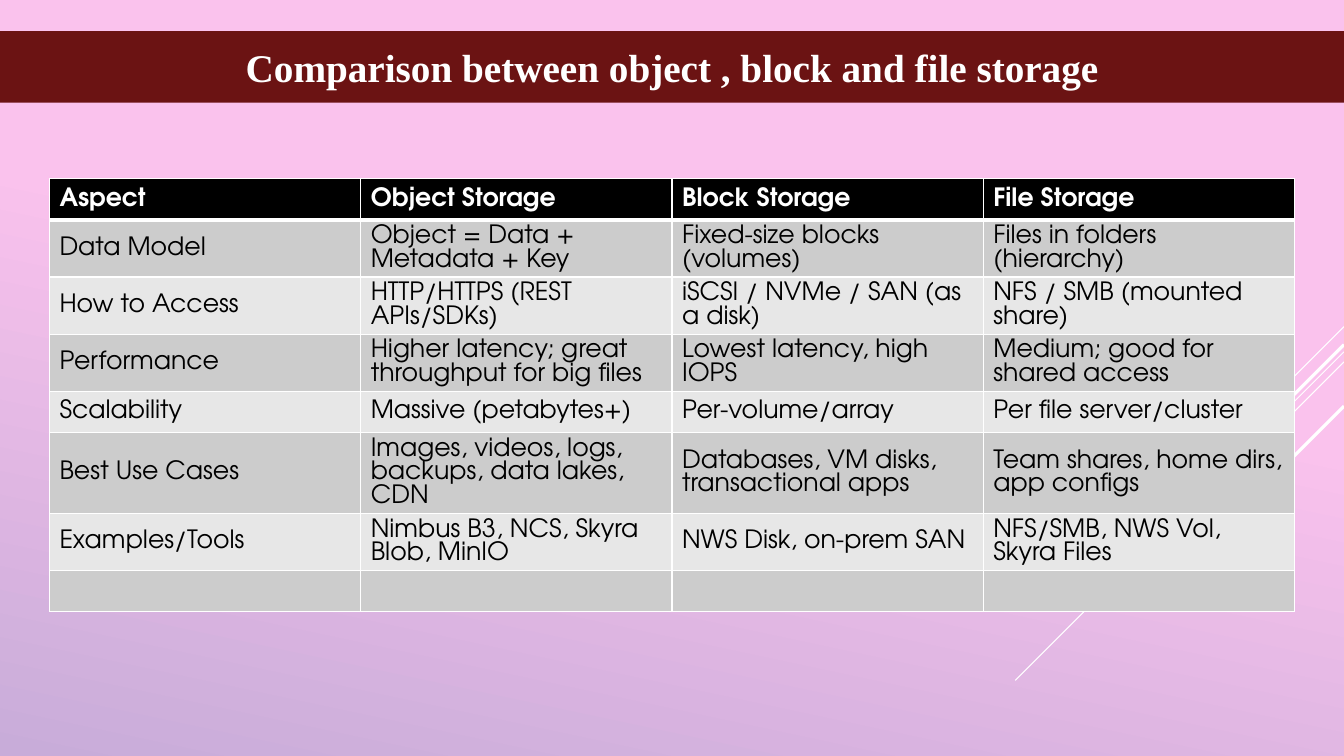
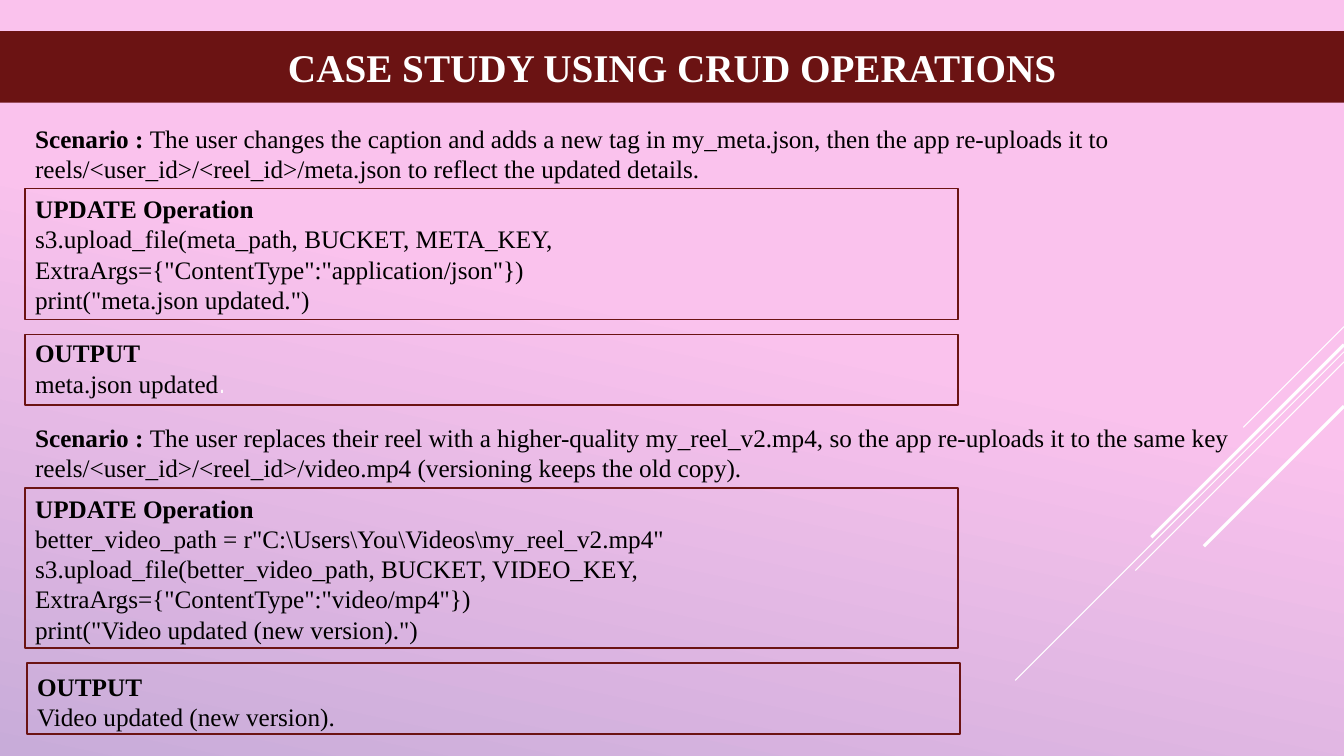
from dataclasses import dataclass

from lxml import etree
from pptx import Presentation
from pptx.dml.color import RGBColor
from pptx.enum.shapes import MSO_CONNECTOR, MSO_SHAPE
from pptx.enum.text import MSO_ANCHOR, MSO_AUTO_SIZE, PP_ALIGN
from pptx.oxml.ns import qn
from pptx.util import Inches, Pt

STRAIGHT = MSO_CONNECTOR.STRAIGHT
RECTANGLE = MSO_SHAPE.RECTANGLE
TOP, MIDDLE = MSO_ANCHOR.TOP, MSO_ANCHOR.MIDDLE
NO_AUTOFIT = MSO_AUTO_SIZE.NONE
LEFT, CENTER = PP_ALIGN.LEFT, PP_ALIGN.CENTER
TITLE_ONLY = 5


@dataclass(frozen=True)
class Theme:
    pink: str = "FAC2ED"
    lilac: str = "C8ACD9"
    maroon: str = "6B1313"
    white: str = "FFFFFF"
    black: str = "000000"
    row_fills: tuple = ("CCCCCC", "E7E7E7")
    serif: str = "Times New Roman"
    sans: str = "TeX Gyre Adventor"
    title_size: int = 28
    body_size: int = 18


THEME = Theme()
SLIDE_W, SLIDE_H = 13.33, 7.5
TITLE_BAND = (0, 0.31, SLIDE_W, 0.71)

# Diagonal strokes: top on the right edge, run to the lower left, weight
STROKES = [
    (3.24, 1, 0.75),
    (3.49, 3.26, 0.75),
    (3.59, 2.07, 0.75),
    (3.42, 1.91, 2.25),
    (4.03, 1.39, 2.25),
]

COMPARISON = [
    ["Aspect", "Object Storage", "Block Storage", "File Storage"],
    ["Data Model", "Object = Data + Metadata + Key",
     "Fixed-size blocks (volumes)", "Files in folders (hierarchy)"],
    ["How to Access", "HTTP/HTTPS (REST APIs/SDKs)",
     "iSCSI / NVMe / SAN (as a disk)", "NFS / SMB (mounted share)"],
    ["Performance", "Higher latency; great throughput for big files",
     "Lowest latency, high IOPS", "Medium; good for shared access"],
    ["Scalability", "Massive (petabytes+)", "Per-volume/array",
     "Per file server/cluster"],
    ["Best Use Cases", "Images, videos, logs, backups, data lakes, CDN",
     "Databases, VM disks, transactional apps",
     "Team shares, home dirs, app configs"],
    ["Examples/Tools", "Nimbus B3, NCS, Skyra Blob, MinIO",
     "NWS Disk, on-prem SAN", "NFS/SMB, NWS Vol, Skyra Files"],
    ["", "", "", ""],
]

META_SCENARIO = (
    "The user changes the caption and adds a new tag in my_meta.json, then the "
    "app re-uploads it to reels/<user_id>/<reel_id>/meta.json to reflect the "
    "updated details."
)
META_CODE = [
    's3.upload_file(meta_path, BUCKET, META_KEY, '
    'ExtraArgs={"ContentType":"application/json"})',
    'print("meta.json updated.")',
]
VIDEO_SCENARIO = (
    "The user replaces their reel with a higher-quality my_reel_v2.mp4, so the "
    "app re-uploads it to the same key reels/<user_id>/<reel_id>/video.mp4 "
    "(versioning keeps the old copy)."
)
VIDEO_CODE = [
    r'better_video_path = r"C:\Users\You\Videos\my_reel_v2.mp4"',
    's3.upload_file(better_video_path, BUCKET, VIDEO_KEY, '
    'ExtraArgs={"ContentType":"video/mp4"})',
    'print("Video updated (new version).")',
]


def rgb(color):
    return RGBColor.from_string(color)


def inches(box):
    return [Inches(v) for v in box]


def style(font, color, name=THEME.serif, size=THEME.body_size, bold=False):
    font.name, font.size, font.bold = name, Pt(size), bold
    font.color.rgb = rgb(color)


def style_master(prs, s):
    """Give the master the gradient and the strokes, drawn by way of slide s."""
    master = prs.slide_master
    fill = master.background.fill
    fill.gradient()
    fill.gradient_angle = 258
    stops = ((0.43, THEME.pink), (1, THEME.lilac))
    for stop, (position, color) in zip(fill.gradient_stops, stops):
        stop.position = position
        stop.color.rgb = rgb(color)
    for i, (y, run, weight) in enumerate(STROKES):
        ends = inches((SLIDE_W, y, SLIDE_W - run, y + run))
        stroke = s.shapes.add_connector(STRAIGHT, *ends)
        stroke.line.color.rgb = rgb(THEME.white)
        stroke.line.width = Pt(weight)
        etree.SubElement(stroke.element.spPr, qn("a:effectLst"))
        stroke.element.nvCxnSpPr.cNvPr.id = 101 + i
        master.shapes.element.append(stroke.element)


def add_titled_slide(prs, title):
    s = prs.slides.add_slide(prs.slide_layouts[TITLE_ONLY])
    band = s.shapes.title
    band.left, band.top, band.width, band.height = inches(TITLE_BAND)
    band.fill.solid()
    band.fill.fore_color.rgb = rgb(THEME.maroon)
    tf = band.text_frame
    tf.text = title
    tf.auto_size = NO_AUTOFIT
    tf.vertical_anchor = MIDDLE
    p = tf.paragraphs[0]
    p.alignment = CENTER
    style(p.font, THEME.white, size=THEME.title_size, bold=True)
    return s


def set_borders(cell, **weights):
    """Draw white cell edges; weights are points by edge letter."""
    tc_pr = cell._tc.get_or_add_tcPr()
    for i, edge in enumerate("LRTB"):
        width = Pt(weights.get(edge, 1))
        ln = etree.Element(qn(f"a:ln{edge}"), w=str(int(width)))
        fill = etree.SubElement(ln, qn("a:solidFill"))
        etree.SubElement(fill, qn("a:srgbClr"), val=THEME.white)
        tc_pr.insert(i, ln)


def add_comparison_table(s, rows, left, top, width, row_height):
    n_rows, n_cols = len(rows), len(rows[0])
    box = inches((left, top, width, row_height * n_rows))
    table = s.shapes.add_table(n_rows, n_cols, *box).table
    for r, row in enumerate(rows):
        header = r == 0
        fill = THEME.black if header else THEME.row_fills[(r - 1) % 2]
        edges = {0: {"B": 3}, 1: {"T": 3}}.get(r, {})
        for c, text in enumerate(row):
            cell = table.cell(r, c)
            cell.text = text
            cell.vertical_anchor = MIDDLE
            cell.fill.solid()
            cell.fill.fore_color.rgb = rgb(fill)
            set_borders(cell, **edges)
            style(cell.text_frame.paragraphs[0].font,
                  THEME.white if header else THEME.black,
                  name=THEME.sans, bold=header)


def add_scenario(s, text, left, top, width, height):
    tf = s.shapes.add_textbox(*inches((left, top, width, height))).text_frame
    tf.word_wrap = True
    p = tf.paragraphs[0]
    style(p.font, THEME.black)
    label = p.add_run()
    label.text = "Scenario : "
    label.font.bold = True
    p.add_run().text = text


def add_panel(s, heading, lines, left, top, width, height, inset=0.05):
    """Outlined box with a bold heading above plain lines."""
    panel = s.shapes.add_shape(RECTANGLE, *inches((left, top, width, height)))
    panel.shadow.inherit = False
    panel.fill.background()
    panel.line.color.rgb = rgb(THEME.maroon)
    panel.line.width = Pt(1.25)
    tf = panel.text_frame
    tf.word_wrap = True
    tf.vertical_anchor = TOP
    tf.margin_top, tf.margin_bottom = Inches(inset), 0
    for i, text in enumerate([heading, *lines]):
        p = tf.paragraphs[0] if i == 0 else tf.add_paragraph()
        p.alignment = LEFT
        p.add_run().text = text
        style(p.font, THEME.black, bold=i == 0)
        style(p.runs[0].font, THEME.black, bold=i == 0)
    return panel


def build_comparison(prs):
    s = add_titled_slide(prs, "Comparison between object , block and file storage")
    add_comparison_table(s, COMPARISON, 0.49, 1.77, 12.35, 0.41)
    return s


def build_case_study(prs):
    s = add_titled_slide(prs, "CASE STUDY USING CRUD OPERATIONS")
    left, width = 0.25, 9.25
    add_scenario(s, META_SCENARIO, left, 1.17, 12.87, 0.71)
    add_panel(s, "UPDATE Operation", META_CODE, left, 1.87, width, 1.3)
    output = add_panel(s, "OUTPUT", ["meta.json updated"],
                       left, 3.32, width, 0.7, inset=0.03)
    stop = output.text_frame.paragraphs[-1].add_run()
    stop.text = "."
    style(stop.font, THEME.white, name=THEME.sans)
    add_scenario(s, VIDEO_SCENARIO, left, 4.14, 12.87, 0.71)
    add_panel(s, "UPDATE Operation", VIDEO_CODE, left, 4.84, width, 1.59)
    add_panel(s, "OUTPUT", ["Video updated (new version)."],
              left + 0.02, 6.58, width, 0.7, inset=0.08)


def main():
    prs = Presentation()
    prs.slide_width, prs.slide_height = Inches(SLIDE_W), Inches(SLIDE_H)
    style_master(prs, build_comparison(prs))
    build_case_study(prs)
    prs.save("out.pptx")


if __name__ == "__main__":
    main()
